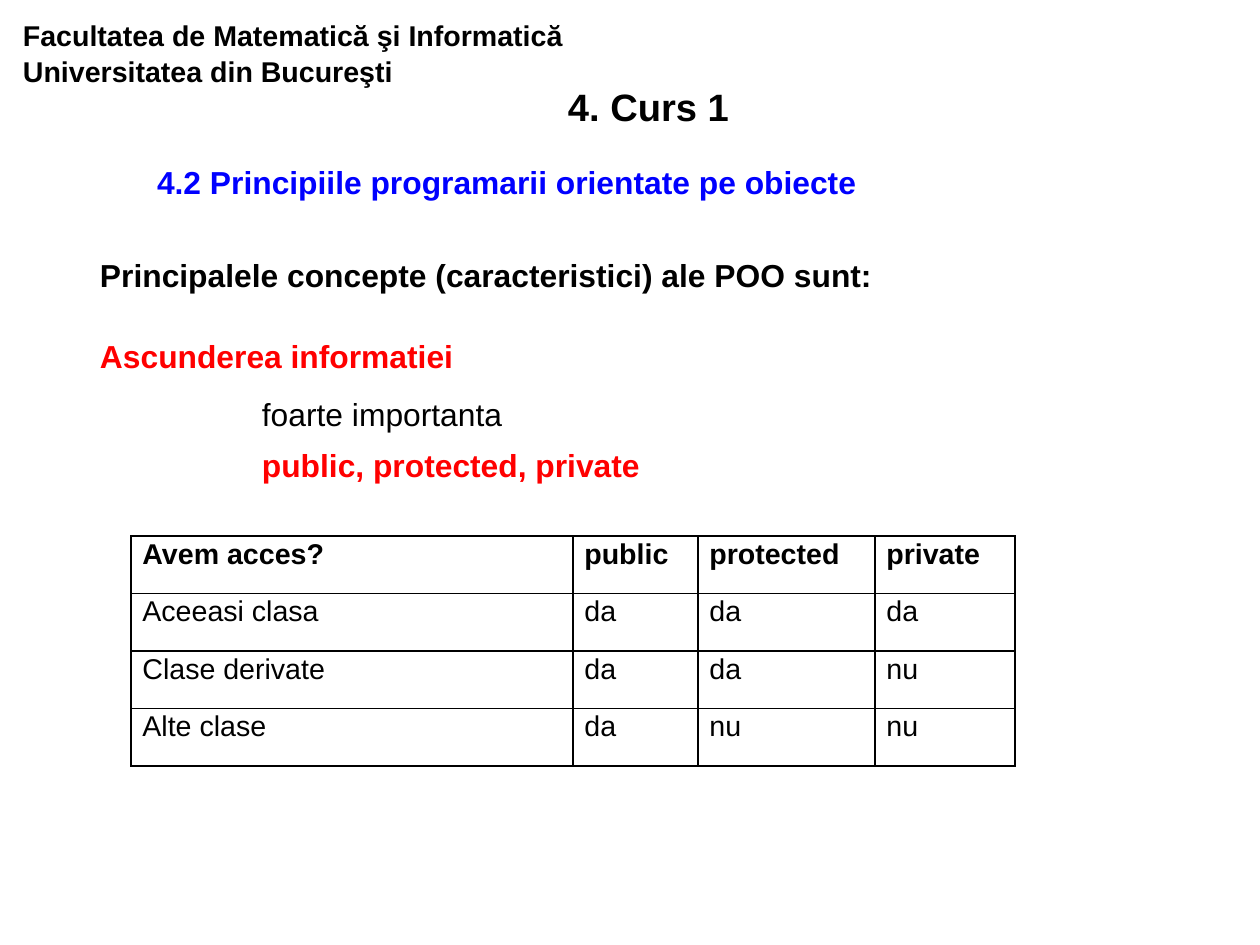
from dataclasses import dataclass

from lxml.etree import SubElement
from pptx import Presentation
from pptx.dml.color import RGBColor
from pptx.enum.text import PP_ALIGN
from pptx.oxml.ns import qn
from pptx.slide import Slide
from pptx.table import _Cell
from pptx.text.text import _Paragraph
from pptx.util import Emu, Pt

EMU_PER_PX = 8000
FONT = "Arial"
BLACK = RGBColor(0, 0, 0)
BLUE = RGBColor(0, 0, 255)
RED = RGBColor(255, 0, 0)
BORDER_PT = 1


@dataclass(frozen=True)
class Para:
    """One paragraph with a single run."""
    text: str
    size: int = 20
    color: RGBColor = BLACK
    bold: bool = True
    align: PP_ALIGN = PP_ALIGN.LEFT
    spacing: float = 1.0
    before: int = 0
    margin: int = 0
    indent: int = 0


@dataclass(frozen=True)
class Box:
    """A text box: place, paragraphs and insets in pixels."""
    left: int
    top: int
    width: int
    height: int
    paras: tuple[Para, ...]
    inset_x: int = 11
    inset_y: int = 6


BOXES = (
    Box(10, 10, 630, 82, (
        Para("Facultatea de Matematică şi Informatică Universitatea din Bucureşti",
             size=18, spacing=1.04),), 13, 7),
    Box(487, 82, 323, 48, (
        Para("4. Curs 1", size=24, align=PP_ALIGN.CENTER),), 0, 1),
    Box(30, 138, 1056, 57, (
        Para("4.2 Principiile programarii orientate pe obiecte", color=BLUE,
             spacing=1.5, margin=143, indent=-27),)),
    Box(89, 248, 1094, 208, (
        Para("Principalele concepte (caracteristici) ale POO sunt:", spacing=1.04),
        Para("Ascunderea informatiei", color=RED, spacing=1.04, before=26))),
    Box(251, 389, 640, 114, (
        Para("foarte importanta", bold=False),
        Para("public, protected, private", color=RED, before=8))),
)

TABLE_LEFT, TABLE_TOP, TABLE_HEIGHT = 131, 536, 230
COLUMN_WIDTHS = (442, 125, 177, 140)
ACCESS_ROWS = (
    ("Avem acces?", "public", "protected", "private"),
    ("Aceeasi clasa", "da", "da", "da"),
    ("Clase derivate", "da", "da", "nu"),
    ("Alte clase", "da", "nu", "nu"),
)


def px(n: int) -> Emu:
    """Turn pixels into EMU."""
    return Emu(n * EMU_PER_PX)


def write_para(p: _Paragraph, para: Para) -> None:
    """Fill and format a paragraph."""
    p.alignment = para.align
    p.line_spacing = para.spacing
    p.space_before = Pt(para.before)
    if para.margin:
        pPr = p._p.get_or_add_pPr()
        pPr.set("marL", str(px(para.margin)))
        pPr.set("indent", str(px(para.indent)))
    r = p.add_run()
    r.text = para.text
    r.font.name = FONT
    r.font.size = Pt(para.size)
    r.font.bold = para.bold
    r.font.color.rgb = para.color


def add_box(s: Slide, box: Box) -> None:
    """Draw a wrapped text box."""
    sp = s.shapes.add_textbox(px(box.left), px(box.top), px(box.width), px(box.height))
    tf = sp.text_frame
    tf.word_wrap = True
    tf.margin_left = tf.margin_right = px(box.inset_x)
    tf.margin_top = tf.margin_bottom = px(box.inset_y)
    for i, para in enumerate(box.paras):
        write_para(tf.add_paragraph() if i else tf.paragraphs[0], para)


def add_borders(cell: _Cell) -> None:
    """Give a cell solid black borders on all sides."""
    tcPr = cell._tc.get_or_add_tcPr()
    for side in ("a:lnL", "a:lnR", "a:lnT", "a:lnB"):
        ln = SubElement(tcPr, qn(side), w=str(Pt(BORDER_PT)))
        fill = SubElement(ln, qn("a:solidFill"))
        SubElement(fill, qn("a:srgbClr"), val=str(BLACK))


def add_access_table(s: Slide) -> None:
    """Draw the table of access rights."""
    table = s.shapes.add_table(
        len(ACCESS_ROWS), len(COLUMN_WIDTHS), px(TABLE_LEFT), px(TABLE_TOP),
        px(sum(COLUMN_WIDTHS)), px(TABLE_HEIGHT)).table
    table.first_row = table.horz_banding = False
    for column, width in zip(table.columns, COLUMN_WIDTHS):
        column.width = px(width)
    for i, words in enumerate(ACCESS_ROWS):
        for j, word in enumerate(words):
            cell = table.cell(i, j)
            add_borders(cell)
            cell.fill.background()
            write_para(cell.text_frame.paragraphs[0],
                       Para(word, size=18, bold=i == 0, spacing=0.89))


def main() -> None:
    """Build and save the slide."""
    prs = Presentation()
    prs.slide_width, prs.slide_height = px(1260), px(945)
    s = prs.slides.add_slide(prs.slide_layouts[6])
    for box in BOXES:
        add_box(s, box)
    add_access_table(s)
    prs.save("out.pptx")


main()
